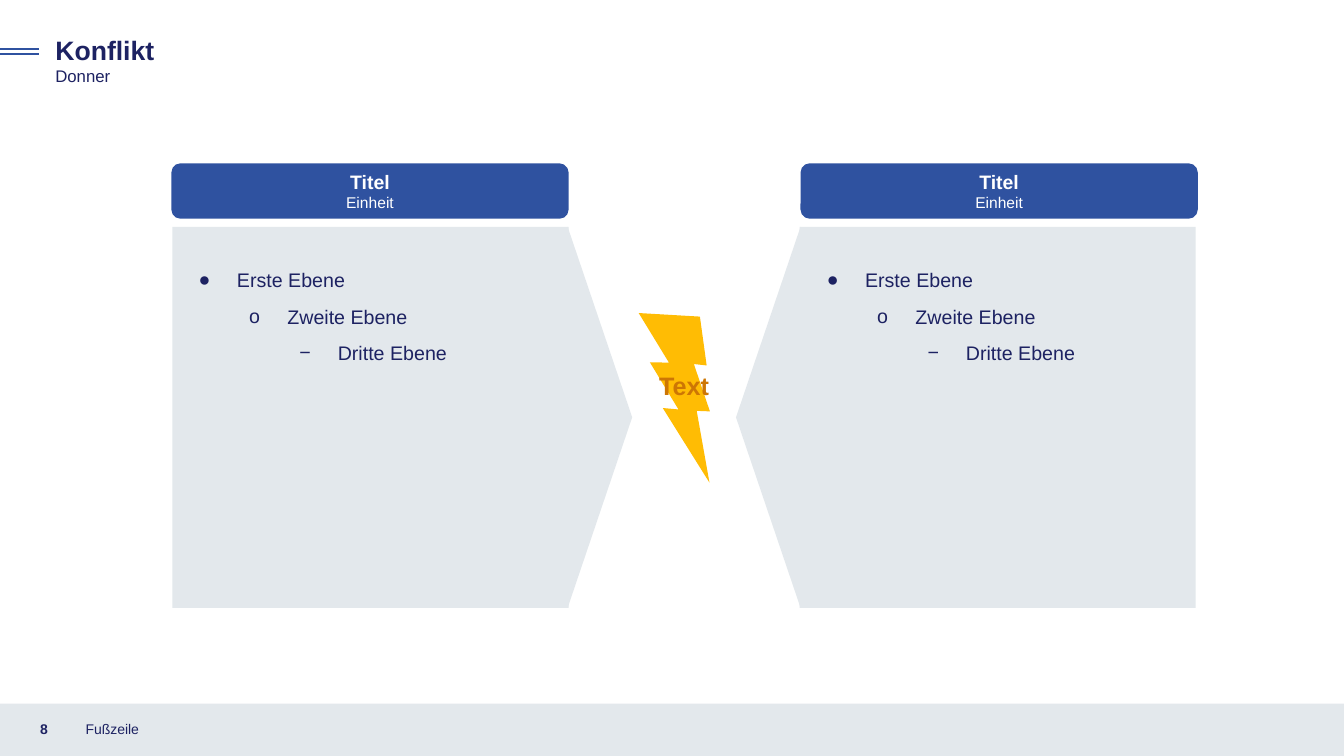
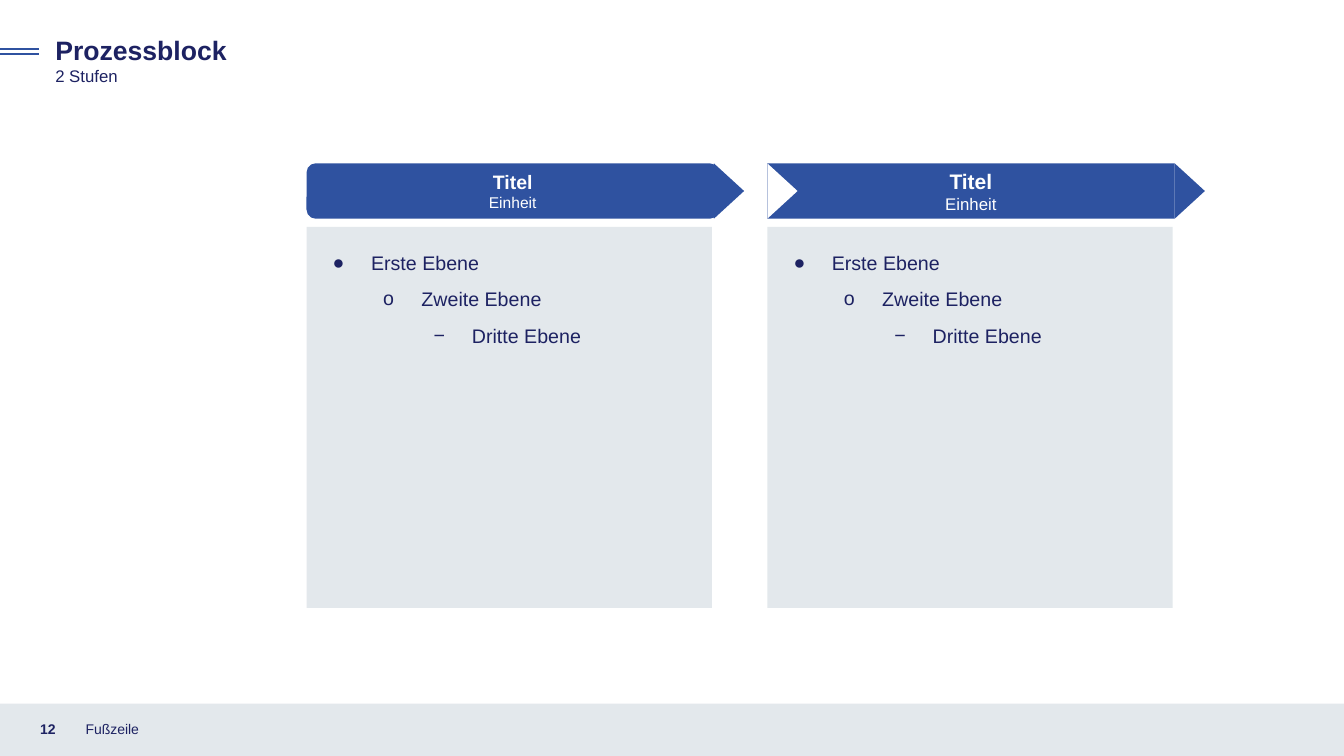
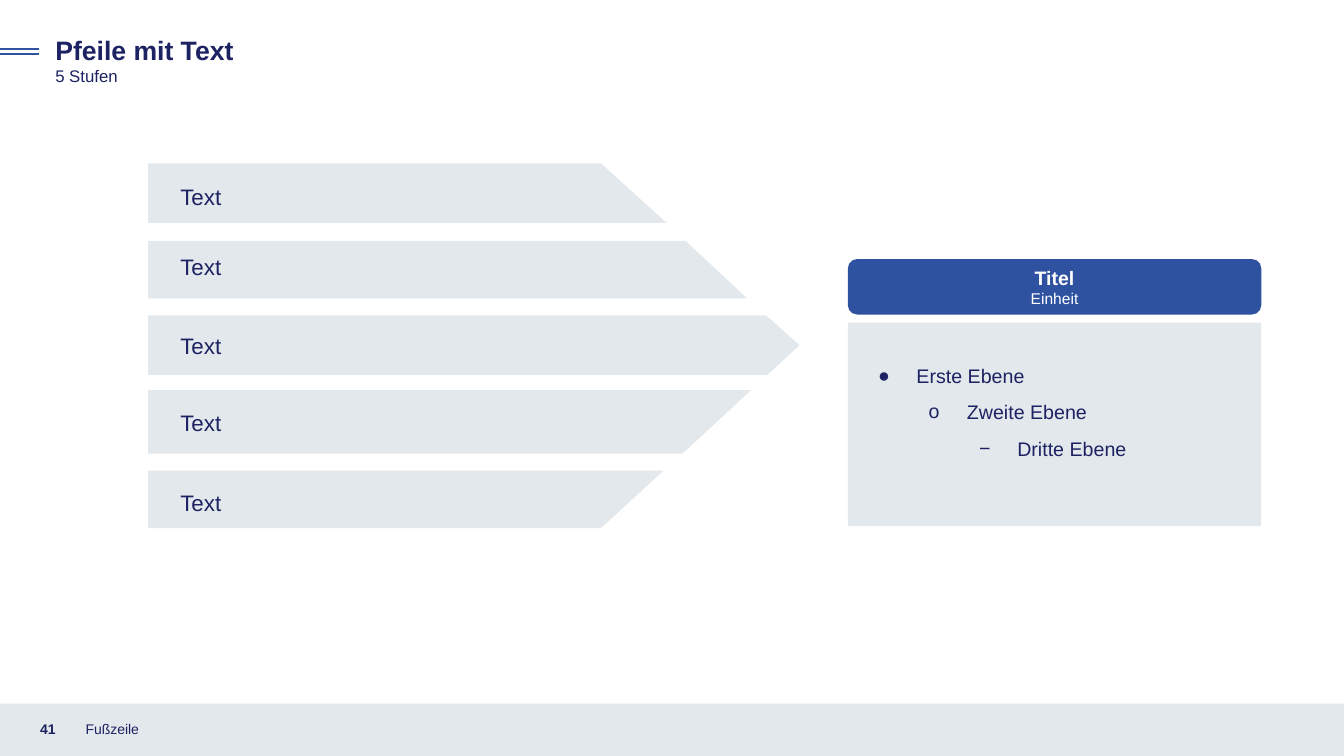
from lxml import etree
from pptx import Presentation
from pptx.dml.color import RGBColor
from pptx.enum.shapes import MSO_CONNECTOR, MSO_SHAPE
from pptx.enum.text import MSO_ANCHOR, MSO_AUTO_SIZE, PP_ALIGN
from pptx.oxml.ns import qn
from pptx.util import Inches, Pt

RECT = MSO_SHAPE.RECTANGLE
ROUND = MSO_SHAPE.ROUNDED_RECTANGLE
TRI = MSO_SHAPE.ISOSCELES_TRIANGLE
BOLT = MSO_SHAPE.LIGHTNING_BOLT
LINE = MSO_CONNECTOR.STRAIGHT
TOP, MID = MSO_ANCHOR.TOP, MSO_ANCHOR.MIDDLE
LEFT, CENTER = PP_ALIGN.LEFT, PP_ALIGN.CENTER
FIXED = MSO_AUTO_SIZE.NONE

FONT = "Arial"
NAVY, BLUE, GRAY, WHITE = "1D2262", "2F52A0", "E3E8EC", "FFFFFF"
GOLD, RUST = "FFBC04", "CD7604"

ONE_BODY, TWO_BODY = 1, 3
WIDE, HIGH = 13.33, 7.5
FOOTER = "Fußzeile"
HEAD = ("Titel", "Einheit")
LEVELS = [("●", "Erste Ebene"), ("o", "Zweite Ebene"), ("−", "Dritte Ebene")]
HEAD_TOP, HEAD_H = 1.62, 0.55
BODY_TOP, BODY_H = 2.25, 3.78

SIDES = [
    {"head": 1.7, "body": 1.71, "list": 1.87, "tip": 5.63, "turn": 90},
    {"head": 7.94, "body": 7.93, "list": 8.1, "tip": 7.3, "turn": 270},
]
STEPS = [
    {"left": 3.04, "kind": ROUND, "wide": 4.09, "sizes": (13.9, 11.1), "notch": False},
    {"left": 7.61, "kind": RECT, "wide": 4.04, "sizes": (15, 12), "notch": True},
]
BAR_LEFT = 1.47
BARS = [
    ("Text", 1.77, 1.62, 0.59, [(5.96, 0), (6.61, 1)]),
    ("Text", 2.46, 2.39, 0.57, [(6.8, 0), (7.41, 1)]),
    ("Text", 3.25, 3.13, 0.59, [(7.6, 0), (7.93, 0.5), (7.61, 1)]),
    ("Text", 4.01, 3.87, 0.63, [(7.45, 0), (6.77, 1)]),
    ("Text", 4.8, 4.67, 0.57, [(6.58, 0), (5.96, 1)]),
]


def rgb(code):
    return RGBColor.from_string(code)


def place(shape, *box):
    shape.left, shape.top, shape.width, shape.height = map(Inches, box)


def paint(shape, color):
    shape.shadow.inherit = False
    shape.fill.solid()
    shape.fill.fore_color.rgb = rgb(color)
    shape.line.fill.background()
    return shape


def draw(slide, kind, box, color, turn=0):
    shape = paint(slide.shapes.add_shape(kind, *map(Inches, box)), color)
    shape.rotation = turn
    return shape


def tip(slide, left, top, base, depth, turn, color):
    shift = (base - depth) / 2
    draw(slide, TRI, (left - shift, top + shift, base, depth), color, turn)


def write(par, text, size, color=NAVY, bold=False, align=LEFT):
    par.alignment = align
    run = par.add_run()
    run.text = text
    font = run.font
    font.name, font.size, font.bold = FONT, Pt(size), bold
    font.color.rgb = rgb(color)


def label(slide, text, box, size, color=NAVY, bold=False, anchor=TOP, wrap=True):
    frame = slide.shapes.add_textbox(*map(Inches, box)).text_frame
    frame.word_wrap, frame.vertical_anchor = wrap, anchor
    write(frame.paragraphs[0], text, size, color, bold)


def header(slide, box, kind=ROUND, sizes=(13.9, 11.1)):
    frame = draw(slide, kind, box, BLUE).text_frame
    frame.vertical_anchor = MID
    write(frame.paragraphs[0], HEAD[0], sizes[0], WHITE, True, CENTER)
    write(frame.add_paragraph(), HEAD[1], sizes[1], WHITE, False, CENTER)


def bullet(par, mark, level):
    par.level = level
    par.line_spacing = 1.5
    par.space_before, par.space_after = Pt(0), Pt(1)
    props = par._p.get_or_add_pPr()
    props.set("marL", str(Inches(0.38 + 0.5 * level)))
    props.set("indent", str(Inches(-0.38)))
    tint = etree.SubElement(props, qn("a:buClr"))
    etree.SubElement(tint, qn("a:srgbClr"), val=NAVY)
    etree.SubElement(props, qn("a:buFont"), typeface=FONT)
    etree.SubElement(props, qn("a:buChar"), char=mark)


def outline(body, *box):
    place(body, *box)
    body.element.getparent().append(body.element)
    frame = body.text_frame
    frame.auto_size, frame.vertical_anchor = FIXED, TOP
    for level, (mark, text) in enumerate(LEVELS):
        par = frame.paragraphs[0] if level == 0 else frame.add_paragraph()
        bullet(par, mark, level)
        write(par, text, 14)


def start(deck, layout, number, title, subtitle):
    slide = deck.slides.add_slide(deck.slide_layouts[layout])
    draw(slide, RECT, (0, 6.98, WIDE, HIGH - 6.98), GRAY)
    label(slide, number, (0.3, 7.03, 0.45, 0.4), 10, bold=True, anchor=MID)
    label(slide, FOOTER, (0.75, 7.03, 4.5, 0.4), 10, anchor=MID)
    name = slide.shapes.title
    place(name, 0.45, 0.29, 7.72, 0.42)
    frame = name.text_frame
    frame.auto_size, frame.vertical_anchor = FIXED, TOP
    write(frame.paragraphs[0], title, 19, bold=True)
    label(slide, subtitle, (0.45, 0.6, 3.46, 0.3), 12)
    for y in (0.49, 0.54):
        rule = slide.shapes.add_connector(LINE, 0, Inches(y), Inches(0.39), Inches(y))
        rule.line.color.rgb = rgb(BLUE)
        rule.line.width = Pt(1.5)
        etree.SubElement(rule.element.spPr, qn("a:effectLst"))
    return slide, list(slide.placeholders)[1:]


def conflict(deck):
    slide, bodies = start(deck, TWO_BODY, "8", "Konflikt", "Donner")
    draw(slide, BOLT, (6.04, 3.13, 1.41, 1.41), GOLD, 28)
    label(slide, "Text", (6.44, 3.62, 0.7, 0.4), 18, RUST, True, wrap=False)
    for side, body in zip(SIDES, bodies):
        header(slide, (side["head"], HEAD_TOP, 3.94, HEAD_H))
        draw(slide, RECT, (side["body"], BODY_TOP, 3.93, BODY_H), GRAY)
        tip(slide, side["tip"], BODY_TOP, BODY_H, 0.64, side["turn"], GRAY)
        outline(body, side["list"], 2.49, 3.69, 3.15)


def process(deck):
    slide, bodies = start(deck, TWO_BODY, "12", "Prozessblock", "2 Stufen")
    for step, body in zip(STEPS, bodies):
        left = step["left"]
        draw(slide, RECT, (left, BODY_TOP, 4.02, BODY_H), GRAY)
        outline(body, left + 0.16, 2.32, 3.62, 3.48)
        tip(slide, left + 4.04, HEAD_TOP, HEAD_H, 0.3, 90, BLUE)
        header(slide, (left, HEAD_TOP, step["wide"], HEAD_H), step["kind"], step["sizes"])
        if step["notch"]:
            tip(slide, left, HEAD_TOP, HEAD_H, 0.3, 90, WHITE)


def arrows(deck):
    slide, bodies = start(deck, ONE_BODY, "41", "Pfeile mit Text", "5 Stufen")
    for text, y, top, high, edge in BARS:
        points = [(x, top + part * high) for x, part in edge]
        points.append((BAR_LEFT, top + high))
        pen = slide.shapes.build_freeform(Inches(BAR_LEFT), Inches(top))
        pen.add_line_segments([(Inches(x), Inches(v)) for x, v in points])
        paint(pen.convert_to_shape(), GRAY)
        label(slide, text, (1.69, y, 4.14, 0.35), 16)
    draw(slide, RECT, (8.41, 3.2, 4.1, 2.02), GRAY)
    outline(bodies[0], 8.61, 3.44, 3.69, 1.65)
    header(slide, (8.41, 2.57, 4.1, HEAD_H))


def main():
    deck = Presentation()
    deck.slide_width, deck.slide_height = Inches(WIDE), Inches(HIGH)
    for build in (conflict, process, arrows):
        build(deck)
    deck.save("out.pptx")


if __name__ == "__main__":
    main()
